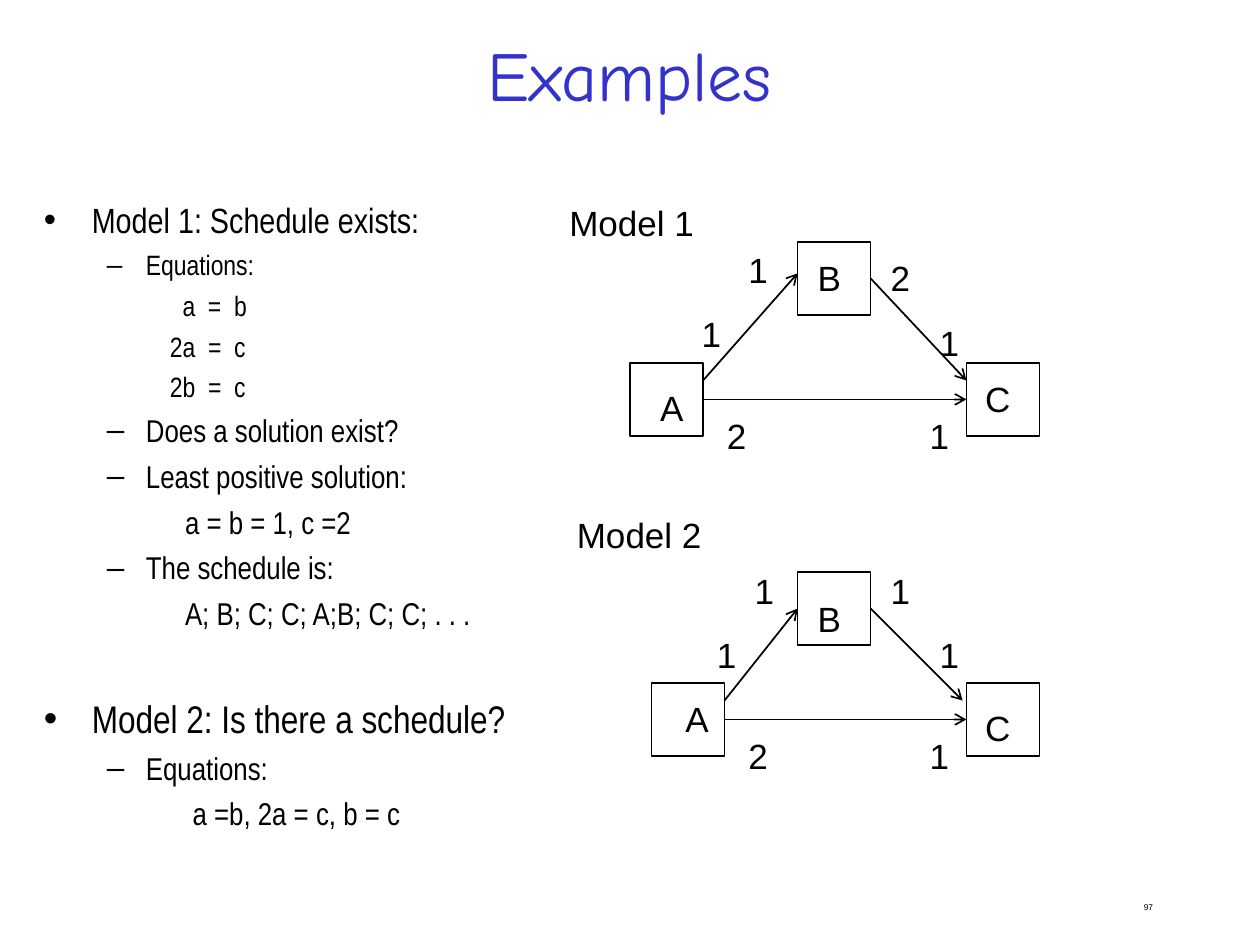
import lxml.etree
import pptx
import pptx.dml.color
import pptx.enum.shapes
import pptx.enum.text
import pptx.oxml.ns
import pptx.util

Inches = pptx.util.Inches
Pt = pptx.util.Pt
qn = pptx.oxml.ns.qn
Align = pptx.enum.text.PP_ALIGN
Anchor = pptx.enum.text.MSO_ANCHOR

BLACK = pptx.dml.color.RGBColor(0x00, 0x00, 0x00)
BLUE = pptx.dml.color.RGBColor(0x33, 0x33, 0xCC)

NODE_SIZE = 0.58
TOP, LEFT, BOTTOM, RIGHT = range(4)

OUTLINE = [
    ("•", "Model 1: Schedule exists:", 20, 0.38, 0),
    ("–", "Equations:", 16, 0.81, 4),
    ("", "a  =  b", 16, 1.1, 4),
    ("", "2a  =  c", 16, 1, 4),
    ("", "2b  =  c", 16, 1, 4),
    ("–", "Does a solution exist?", 18, 0.81, 4.5),
    ("–", "Least positive solution:", 18, 0.81, 4.5),
    ("", "a = b = 1, c =2", 18, 1.12, 4.5),
    ("–", "The schedule is:", 18, 0.81, 4.5),
    ("", "A; B; C; C; A;B; C; C; . . .", 18, 1.12, 4.5),
    ("•", "Model 2: Is there a schedule?", 22, 0.38, 36),
    ("–", "Equations:", 18, 0.81, 4.5),
    ("", "a =b, 2a = c, b = c", 18, 1.18, 4.5),
]
HANGING = {"•": 0.38, "–": 0.31, "": 0}

MODELS = [
    {
        "heading": ("Model 1", 4.42, 1.55),
        "nodes": {"A": (5, 2.88), "B": (6.33, 1.92), "C": (7.67, 2.88)},
        "names": {"A": (5.14, 3.02), "B": (6.39, 1.99), "C": (7.72, 2.95)},
        "edges": [
            ((5.58, 3.02), (6.33, 2.17)),
            ("A", "C"),
            ("B", (7.67, 3.02)),
        ],
        "rates": [
            ("1", 5.84, 1.92), ("1", 5.47, 2.43), ("2", 6.97, 1.99),
            ("1", 7.36, 2.5), ("2", 5.67, 3.24), ("1", 7.28, 3.24),
        ],
    },
    {
        "heading": ("Model 2", 4.48, 4.03),
        "nodes": {"A": (5.17, 5.42), "B": (6.33, 4.54), "C": (7.67, 5.42)},
        "names": {"A": (5.34, 5.49), "B": (6.39, 4.69), "C": (7.72, 5.56)},
        "edges": [
            ((5.75, 5.56), "B"),
            ("A", "C"),
            ("B", (7.64, 5.56)),
        ],
        "rates": [
            ("1", 5.89, 4.47), ("1", 5.59, 4.98), ("1", 6.97, 4.47),
            ("1", 7.36, 4.98), ("2", 5.84, 5.78), ("1", 7.28, 5.78),
        ],
    },
]


class SlideBuilder:
    label_font = "Arial"
    outline_font = "Arial Narrow"
    title_font = "Comic Neue"
    line_width = Pt(1)

    def __init__(self, slide):
        self.slide = slide

    def style(self, paragraph, size, font, color=BLACK):
        for run in paragraph.runs:
            run.font.size = Pt(size)
            run.font.name = font
            run.font.color.rgb = color

    def text(self, words, left, top, width, height=0.44, size=20, font=label_font,
             color=BLACK, align=Align.LEFT, anchor=Anchor.TOP, wrap=True):
        box = self.slide.shapes.add_textbox(
            Inches(left), Inches(top), Inches(width), Inches(height))
        frame = box.text_frame
        frame.text = words
        frame.word_wrap = wrap
        frame.vertical_anchor = anchor
        frame.paragraphs[0].alignment = align
        self.style(frame.paragraphs[0], size, font, color)
        return frame

    def outline(self, entries, left, top, width, height):
        box = self.slide.shapes.add_textbox(
            Inches(left), Inches(top), Inches(width), Inches(height))
        frame = box.text_frame
        frame.word_wrap = True
        frame.text = "\n".join(entry[1] for entry in entries)
        for paragraph, entry in zip(frame.paragraphs, entries):
            mark, _, size, indent, gap = entry
            properties = paragraph._p.get_or_add_pPr()
            properties.set("marL", str(Inches(indent)))
            properties.set("indent", str(-Inches(HANGING[mark])))
            if mark:
                bullet_color = lxml.etree.SubElement(properties, qn("a:buClr"))
                lxml.etree.SubElement(bullet_color, qn("a:srgbClr"), val=str(BLACK))
                lxml.etree.SubElement(
                    properties, qn("a:buFont"), typeface=self.label_font)
                lxml.etree.SubElement(properties, qn("a:buChar"), char=mark)
            paragraph.space_before = Pt(gap)
            self.style(paragraph, size, self.outline_font)

    def node(self, left, top):
        square = self.slide.shapes.add_shape(
            pptx.enum.shapes.MSO_SHAPE.RECTANGLE,
            Inches(left), Inches(top), Inches(NODE_SIZE), Inches(NODE_SIZE))
        square.shadow.inherit = False
        square.fill.background()
        square.line.color.rgb = BLACK
        square.line.width = self.line_width
        return square

    def edge(self, source, target, nodes):
        start = (0, 0) if source in nodes else source
        end = (0, 0) if target in nodes else target
        arrow = self.slide.shapes.add_connector(
            pptx.enum.shapes.MSO_CONNECTOR.STRAIGHT,
            *(Inches(value) for value in start + end))
        if source in nodes:
            arrow.begin_connect(nodes[source], RIGHT)
        if target in nodes:
            arrow.end_connect(nodes[target], LEFT)
        arrow.line.color.rgb = BLACK
        arrow.line.width = self.line_width
        lxml.etree.SubElement(
            arrow.line._get_or_add_ln(), qn("a:tailEnd"), type="arrow")
        lxml.etree.SubElement(arrow._element.spPr, qn("a:effectLst"))

    def model(self, heading, nodes, names, edges, rates):
        squares = {name: self.node(*place) for name, place in nodes.items()}
        for source, target in edges:
            self.edge(source, target, squares)
        for name, place in names.items():
            self.text(name, *place, 0.4 if name == "C" else 0.38, wrap=False)
        for rate in rates:
            self.text(*rate, 0.35, wrap=False)
        self.text(*heading, 1.24)


def main():
    deck = pptx.Presentation()
    deck.slide_width = Inches(10)
    deck.slide_height = Inches(7.5)
    builder = SlideBuilder(deck.slides.add_slide(deck.slide_layouts[6]))

    builder.text("Examples", 0.75, 0.17, 8.5, 0.83, 40, builder.title_font,
                 BLUE, Align.CENTER, Anchor.MIDDLE)
    builder.outline(OUTLINE, 0.25, 1.53, 4.01, 5.3)
    page_number = builder.text("97", 7.17, 7.13, 2.08, 0.2, 4.8, align=Align.RIGHT)
    page_number.paragraphs[0].line_spacing = 0.8
    for model in MODELS:
        builder.model(**model)

    deck.save("out.pptx")


if __name__ == "__main__":
    main()
